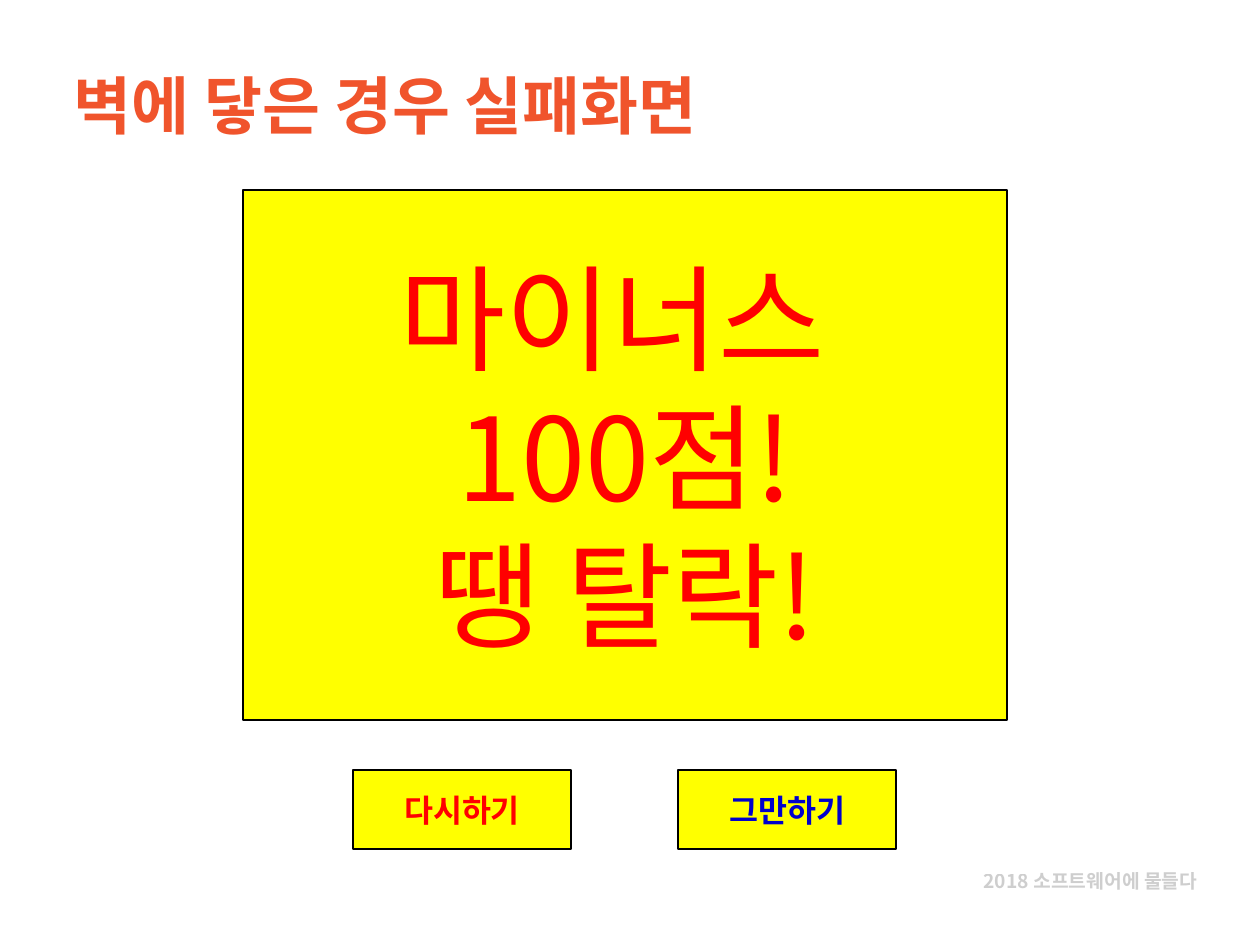
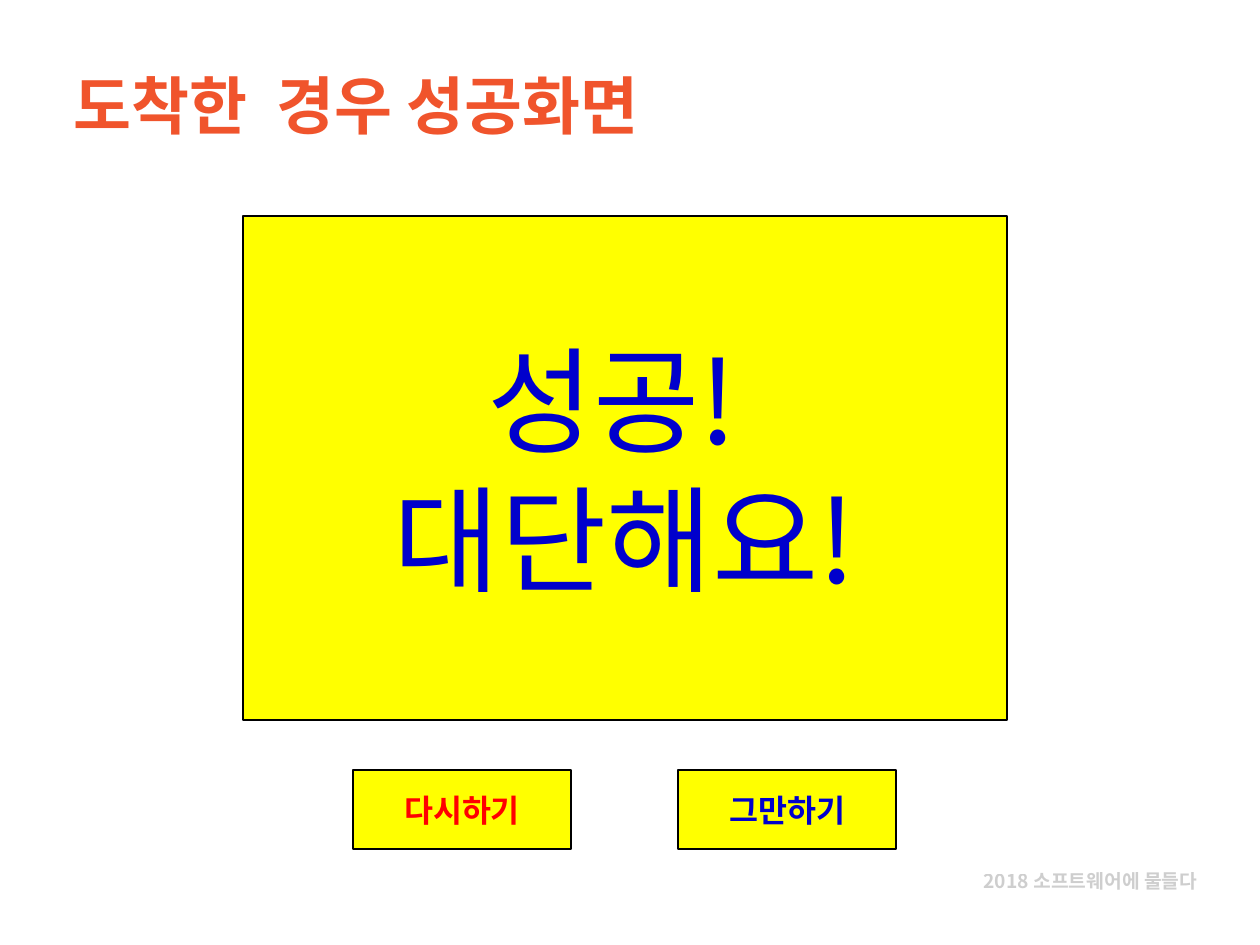
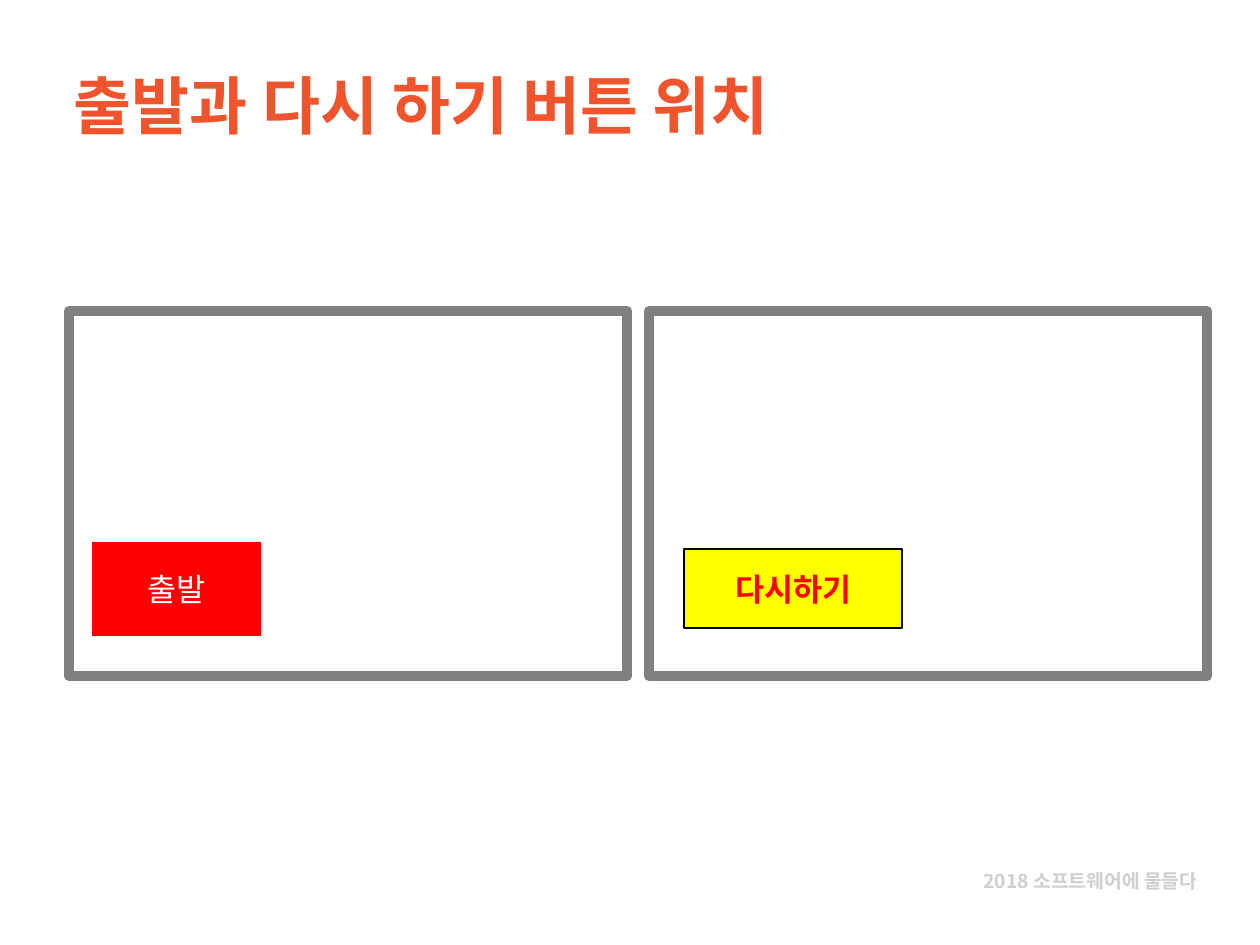
from lxml.etree import SubElement
from pptx import Presentation
from pptx.dml.color import RGBColor
from pptx.enum.shapes import MSO_SHAPE as Shape
from pptx.enum.text import MSO_ANCHOR as Anchor, MSO_AUTO_SIZE as AutoSize, PP_ALIGN as Align
from pptx.oxml.ns import qn
from pptx.util import Emu, Pt

SCALE = 914400 / 126
KOREAN, LATIN = "Noto Sans CJK KR", "Calibri"
ORANGE, YELLOW, RED, BLUE = "F0542C", "FFFF00", "FF0000", "0000CC"
BLACK, GRAY, INK, WHITE = "000000", "808080", "0D0D0D", "FFFFFF"

FOOTER = "2018 소프트웨어에 물들다"
TITLE_BOX = (74, 69, 1086, 86)
FOOTER_BOX = (664, 859, 546, 38)

RETRY, QUIT = ("다시하기", RED), ("그만하기", BLUE)
BUTTON_SIZE = (218, 79)
BUTTON_TOP = 770
BUTTON_LEFTS = (353, 678)

BOARD_LEFT, BOARD_WIDTH, BOARD_BOTTOM = 243, 764, 720
RESULTS = [
    ("벽에 닿은 경우 실패화면", 190, RED, ["마이너스 ", "100점!", "땡 탈락!"]),
    ("도착한  경우 성공화면", 216, BLUE, ["성공! ", "대단해요!"]),
]

POSITION_TITLE = "출발과 다시 하기 버튼 위치"
START_TEXT, START_BOX = "출발", (92, 542, 169, 94)
RETRY_SPOT = (684, 549)
FRAME_LEFT, FRAME_TOP, FRAME_WIDTH, FRAME_HEIGHT, FRAME_GAP = 69, 311, 558, 365, 22


def px(value):
    return Emu(round(value * SCALE))


def color(value):
    return RGBColor.from_string(value)


def write(frame, lines, size, ink, bold=False, font=KOREAN, align=Align.LEFT, spacing=None):
    frame.word_wrap = True
    for index, line in enumerate(lines):
        paragraph = frame.add_paragraph() if index else frame.paragraphs[0]
        paragraph.alignment = align
        if spacing:
            paragraph.line_spacing = spacing
        run = paragraph.add_run()
        run.text = line
        run.font.size, run.font.bold, run.font.name = Pt(size), bold, font
        run.font.color.rgb = color(ink)
        SubElement(run.font._element, qn("a:ea"), typeface=KOREAN)


def add_rectangle(slide, box, fill=None, line=None, line_width=1):
    shape = slide.shapes.add_shape(Shape.RECTANGLE, *map(px, box))
    shape.shadow.inherit = False
    if fill:
        shape.fill.solid()
        shape.fill.fore_color.rgb = color(fill)
    else:
        shape.fill.background()
    if line:
        shape.line.color.rgb = color(line)
        shape.line.width = Pt(line_width)
    else:
        shape.line.fill.background()
    shape.text_frame.vertical_anchor = Anchor.MIDDLE
    return shape


def add_button(slide, left, top, label):
    text, ink = label
    shape = add_rectangle(slide, (left, top, *BUTTON_SIZE), YELLOW, BLACK)
    write(shape.text_frame, [text], 18, ink, True, LATIN, Align.CENTER)


def add_slide(presentation, title):
    slide = presentation.slides.add_slide(presentation.slide_layouts[6])
    footer = slide.shapes.add_textbox(*map(px, FOOTER_BOX)).text_frame
    write(footer, [FOOTER], 11, INK, True, align=Align.RIGHT, spacing=1.2)
    footer.auto_size = AutoSize.SHAPE_TO_FIT_TEXT
    for ink in footer._element.iter(qn("a:srgbClr")):
        SubElement(ink, qn("a:alpha"), val="20000")
    heading = slide.shapes.add_textbox(*map(px, TITLE_BOX)).text_frame
    heading.margin_left = 0
    write(heading, [title], 36, ORANGE, True, spacing=0.9)
    return slide


presentation = Presentation()
presentation.slide_width, presentation.slide_height = px(1260), px(945)

for title, top, ink, lines in RESULTS:
    slide = add_slide(presentation, title)
    board = add_rectangle(slide, (BOARD_LEFT, top, BOARD_WIDTH, BOARD_BOTTOM - top), YELLOW, BLACK)
    write(board.text_frame, lines, 66, ink, align=Align.CENTER)
    for left, label in zip(BUTTON_LEFTS, (RETRY, QUIT)):
        add_button(slide, left, BUTTON_TOP, label)

slide = add_slide(presentation, POSITION_TITLE)
start = add_rectangle(slide, START_BOX, RED)
write(start.text_frame, [START_TEXT], 18, WHITE, align=Align.CENTER)
add_button(slide, *RETRY_SPOT, RETRY)
for column in range(2):
    left = FRAME_LEFT + column * (FRAME_WIDTH + FRAME_GAP)
    add_rectangle(slide, (left, FRAME_TOP, FRAME_WIDTH, FRAME_HEIGHT), line=GRAY, line_width=6)

presentation.save("out.pptx")
